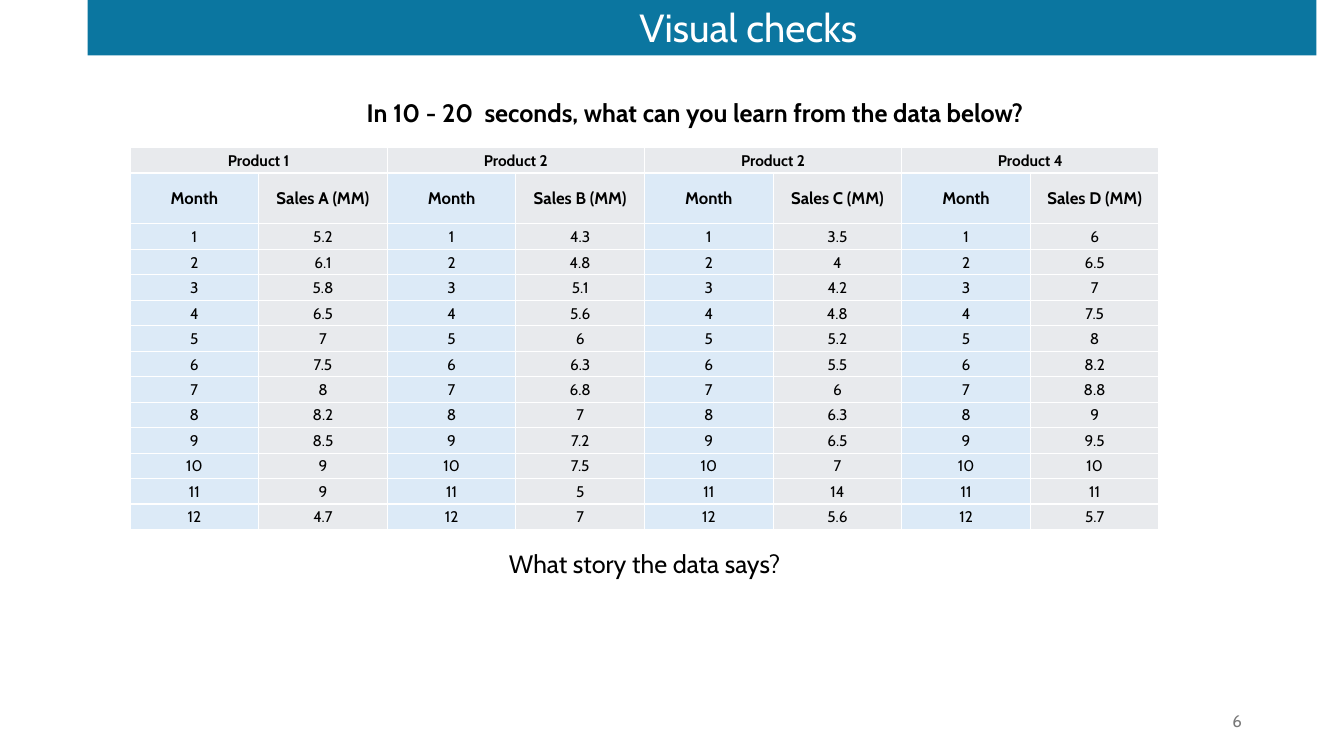
from dataclasses import dataclass

from lxml.etree import SubElement
from pptx import Presentation
from pptx.dml.color import RGBColor as RGB
from pptx.enum.shapes import MSO_SHAPE as Shape
from pptx.enum.text import MSO_ANCHOR as Anchor, PP_ALIGN as Align
from pptx.oxml.ns import qn
from pptx.util import Pt


@dataclass(frozen=True)
class Theme:
    font: str = "Cabin"
    banner: str = "0B76A0"
    month: str = "DCEAF7"
    sales: str = "E8EAED"
    white: str = "FFFFFF"
    ink: str = "000000"
    muted: str = "797979"
    title_size: int = 28
    prompt_size: int = 18
    header_size: int = 12
    body_size: int = 11


theme = Theme()


def write(frame, text, size=theme.prompt_size, color=theme.ink, bold=False,
          align=Align.LEFT, anchor=Anchor.TOP):
    frame.word_wrap = True
    frame.vertical_anchor = anchor
    paragraph = frame.paragraphs[0]
    paragraph.alignment = align
    run = paragraph.add_run()
    run.text = text
    run.font.name = theme.font
    run.font.size = Pt(size)
    run.font.bold = bold
    run.font.color.rgb = RGB.from_string(color)


def style_cell(cell, fill):
    cell.margin_left = cell.margin_right = cell.margin_top = Pt(0.72)
    cell.margin_bottom = Pt(0)
    cell.vertical_anchor = Anchor.MIDDLE
    properties = cell._tc.get_or_add_tcPr()
    for edge in ("a:lnL", "a:lnR", "a:lnT", "a:lnB"):
        border = SubElement(properties, qn(edge), w=str(Pt(1)))
        paint = SubElement(border, qn("a:solidFill"))
        SubElement(paint, qn("a:srgbClr"), val=theme.white)
    cell.fill.solid()
    cell.fill.fore_color.rgb = RGB.from_string(fill)


deck = Presentation()
deck.slide_width, deck.slide_height = Pt(960), Pt(540)
slide = deck.slides.add_slide(deck.slide_layouts[6])

banner = slide.shapes.add_shape(Shape.RECTANGLE, Pt(62.64), Pt(-1.44), Pt(877.68), Pt(41.04))
banner.shadow.inherit = False
banner.fill.solid()
banner.fill.fore_color.rgb = RGB.from_string(theme.banner)
banner.line.fill.background()
banner.text_frame.margin_left = Pt(79.2)
write(banner.text_frame, "Visual checks ", size=theme.title_size, color=theme.white,
      align=Align.CENTER)

page_number = slide.shapes.add_textbox(Pt(678.24), Pt(500.4), Pt(216), Pt(28.8))
write(page_number.text_frame, "6", size=theme.header_size, color=theme.muted,
      align=Align.RIGHT, anchor=Anchor.MIDDLE)

products = [
    ("Product 1", "Sales A (MM)", [5.2, 6.1, 5.8, 6.5, 7, 7.5, 8, 8.2, 8.5, 9, 9, 4.7]),
    ("Product 2", "Sales B (MM)", [4.3, 4.8, 5.1, 5.6, 6, 6.3, 6.8, 7, 7.2, 7.5, 5, 7]),
    ("Product 2", "Sales C (MM)", [3.5, 4, 4.2, 4.8, 5.2, 5.5, 6, 6.3, 6.5, 7, 14, 5.6]),
    ("Product 4", "Sales D (MM)", [6, 6.5, 7, 7.5, 8, 8.2, 8.8, 9, 9.5, 10, 11, 5.7]),
]
month_count = 12
sales_table = slide.shapes.add_table(month_count + 2, 2 * len(products),
                                     Pt(92.88), Pt(105.4), Pt(735.12), Pt(272.9)).table
sales_table.first_row = False
sales_table.horz_banding = False
for column in sales_table.columns:
    column.width = Pt(91.89)
for row in sales_table.rows:
    row.height = Pt(18.2)
sales_table.rows[1].height = Pt(36.3)

for index, (product, sales_label, sales) in enumerate(products):
    month_column = 2 * index
    columns = [
        (month_column, theme.month, [product, "Month", *range(1, month_count + 1)]),
        (month_column + 1, theme.sales, ["", sales_label, *sales]),
    ]
    for column_index, fill, entries in columns:
        for row_index, entry in enumerate(entries):
            cell = sales_table.cell(row_index, column_index)
            style_cell(cell, theme.sales if row_index == 0 else fill)
            if entry != "":
                write(cell.text_frame, str(entry), bold=row_index < 2, align=Align.CENTER,
                      size=theme.header_size if row_index == 1 else theme.body_size,
                      anchor=Anchor.MIDDLE)
    sales_table.cell(0, month_column).merge(sales_table.cell(0, month_column + 1))

question = slide.shapes.add_textbox(Pt(254.88), Pt(66.24), Pt(508.32), Pt(28.8))
write(question.text_frame, "In 10 - 20  seconds, what can you learn from the data below?",
      bold=True)

story = slide.shapes.add_textbox(Pt(356.4), Pt(388.08), Pt(218.88), Pt(28.8))
write(story.text_frame, "What story the data says?")

deck.save("out.pptx")
